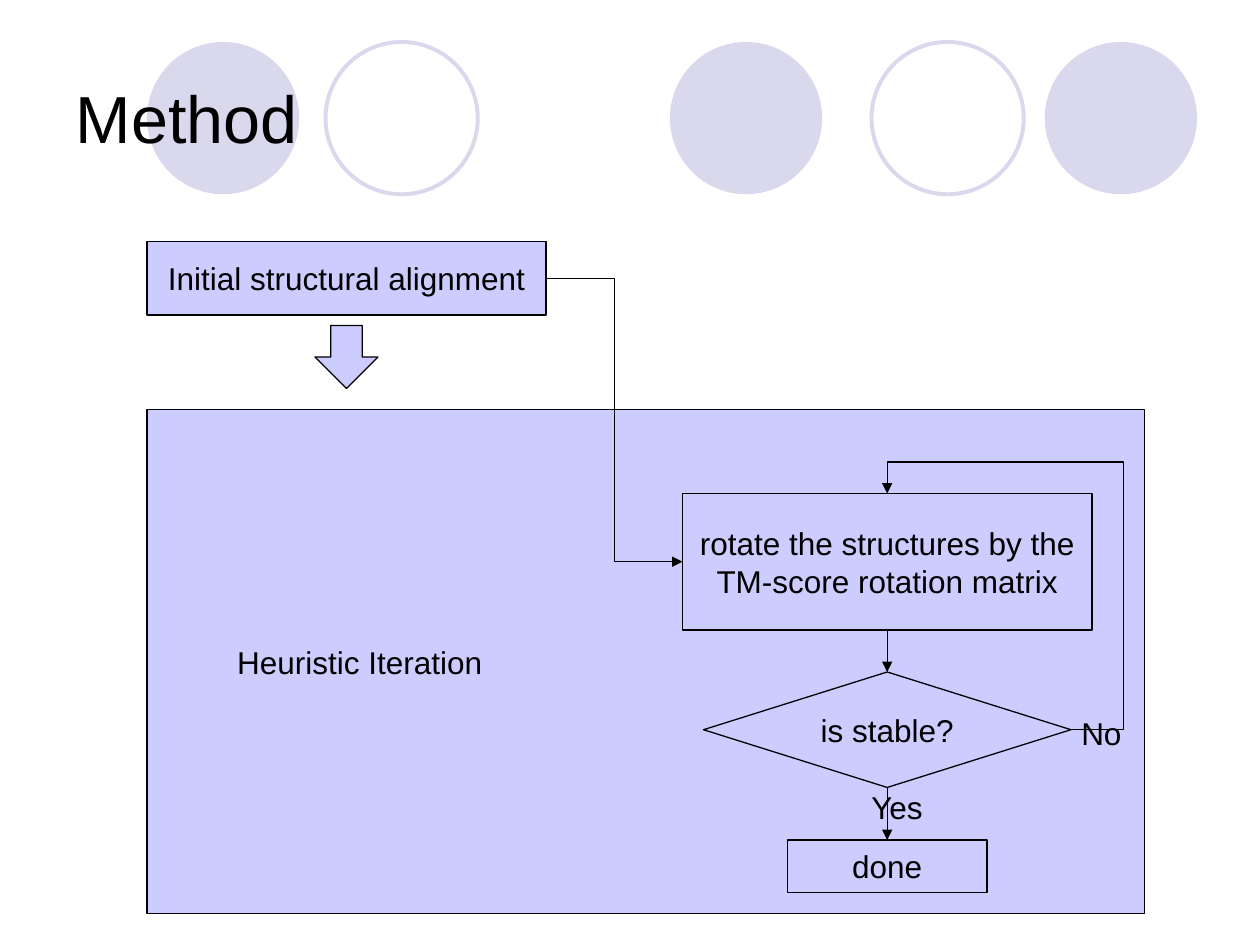
from lxml import etree
from pptx import Presentation
from pptx.dml.color import RGBColor
from pptx.enum.shapes import MSO_CONNECTOR, MSO_SHAPE
from pptx.enum.text import MSO_ANCHOR, PP_ALIGN
from pptx.oxml.ns import qn
from pptx.util import Emu, Pt

PX = 7620
BLACK = RGBColor(0x00, 0x00, 0x00)
LAVENDER = RGBColor(0xCC, 0xCC, 0xFF)
PALE = RGBColor(0xD9, 0xD8, 0xEC)
RECT, PROCESS, DIAMOND = MSO_SHAPE.RECTANGLE, MSO_SHAPE.FLOWCHART_PROCESS, MSO_SHAPE.DIAMOND
OVAL, DOWN_ARROW = MSO_SHAPE.OVAL, MSO_SHAPE.DOWN_ARROW
STRAIGHT, ELBOW = MSO_CONNECTOR.STRAIGHT, MSO_CONNECTOR.ELBOW
LEFT, CENTER = PP_ALIGN.LEFT, PP_ALIGN.CENTER
TOP, MIDDLE = MSO_ANCHOR.TOP, MSO_ANCHOR.MIDDLE
TOP_SIDE, LEFT_SIDE, BOTTOM_SIDE, RIGHT_SIDE = range(4)


def px(*lengths):
    """Turn px lengths into EMU."""
    return [Emu(length * PX) for length in lengths]


class FlowSlide:
    """Holds the style and the current slide."""

    font = {"name": "Arial", "size": Pt(18)}
    line_width = Pt(0.75)

    def __init__(self, slide):
        self.slide = slide
        self.shapes = slide.shapes

    def set_text(self, shape, lines, align=CENTER, frame_format=None, **font):
        """Put formatted lines of text in a shape."""
        frame = shape.text_frame
        frame_values = {"word_wrap": False, "vertical_anchor": MIDDLE, **(frame_format or {})}
        for name, value in frame_values.items():
            setattr(frame, name, value)
        frame.text = "\n".join(lines)
        for para in frame.paragraphs:
            para.alignment = align
            para.font.color.rgb = BLACK
            for name, value in {**self.font, **font}.items():
                setattr(para.font, name, value)

    def title(self, text, *place):
        """Place the title in front of what is already drawn."""
        title = self.shapes.title
        title.element.getparent().append(title.element)
        for name, value in zip(("left", "top", "width", "height"), px(*place)):
            setattr(title, name, value)
        self.set_text(title, [text], LEFT, {"word_wrap": True}, size=Pt(38))

    def shape(self, kind, *place, fill=LAVENDER, line=BLACK, width=line_width):
        """Draw a preset shape."""
        shape = self.shapes.add_shape(kind, *px(*place))
        shape.shadow.inherit = False
        if fill is None:
            shape.fill.background()
        else:
            shape.fill.solid()
            shape.fill.fore_color.rgb = fill
        if line is None:
            shape.line.fill.background()
        else:
            shape.line.color.rgb = line
            shape.line.width = width
        return shape

    def box(self, kind, lines, *place, align=CENTER, **frame_format):
        """Draw a flowchart box with text."""
        box = self.shape(kind, *place)
        self.set_text(box, lines, align, frame_format)
        return box

    def label(self, text, *place):
        """Add a free text label."""
        self.set_text(self.shapes.add_textbox(*px(*place)), [text], LEFT, {"vertical_anchor": TOP})

    def arrow(self, kind, source, source_side, target, target_side):
        """Join two boxes with an arrow."""
        arrow = self.shapes.add_connector(kind, 0, 0, 0, 0)
        arrow.begin_connect(source, source_side)
        arrow.end_connect(target, target_side)
        arrow.line.color.rgb = BLACK
        arrow.line.width = self.line_width
        properties = arrow.element.spPr
        etree.SubElement(properties.find(qn("a:ln")), qn("a:tailEnd"), type="triangle")
        etree.SubElement(properties, qn("a:effectLst"))
        return arrow

    def loop_arrow(self, source, target, right, above):
        """Lead an arrow from a right side out and back to a top side."""
        arrow = self.arrow(ELBOW, source, RIGHT_SIDE, target, TOP_SIDE)
        geometry = arrow.element.spPr.find(qn("a:prstGeom"))
        geometry.set("prst", "bentConnector4")
        guides = geometry.find(qn("a:avLst"))
        if guides is None:
            guides = etree.SubElement(geometry, qn("a:avLst"))
        ratios = (-right * PX / arrow.width, 1 + above * PX / arrow.height)
        for number, ratio in enumerate(ratios, 1):
            etree.SubElement(guides, qn("a:gd"), name=f"adj{number}",
                             fmla=f"val {round(ratio * 100000)}")


def main():
    """Build the method slide."""
    deck = Presentation()
    deck.slide_width, deck.slide_height = px(1200, 900)
    page = FlowSlide(deck.slides.add_slide(deck.slide_layouts[5]))

    for left in (140, 638, 995):
        page.shape(OVAL, left, 40, 145, 145, fill=PALE, line=None)
    for left in (310, 830):
        page.shape(OVAL, left, 40, 145, 145, fill=None, line=PALE, width=Pt(2.25))
    page.title("Method", 60, 36, 1080, 150)

    initial = page.box(RECT, ["Initial structural alignment"], 140, 230, 380, 70)
    page.box(PROCESS, ["Heuristic Iteration"], 140, 390, 950, 480,
             align=LEFT, word_wrap=True, margin_left=Emu(86 * PX))
    page.shape(DOWN_ARROW, 300, 310, 60, 60)
    rotate = page.box(RECT, ["rotate the structures by the", "TM-score rotation matrix"],
                      650, 470, 390, 130)
    stable = page.box(DIAMOND, ["is stable?"], 670, 640, 350, 110)
    done = page.box(RECT, ["done"], 750, 800, 190, 50)

    page.loop_arrow(stable, rotate, 50, 30)
    page.arrow(STRAIGHT, rotate, BOTTOM_SIDE, stable, TOP_SIDE)
    page.arrow(STRAIGHT, stable, BOTTOM_SIDE, done, TOP_SIDE)
    page.arrow(ELBOW, initial, RIGHT_SIDE, rotate, LEFT_SIDE)
    page.label("No", 1018, 674, 62, 48)
    page.label("Yes", 818, 745, 76, 48)

    deck.save("out.pptx")


if __name__ == "__main__":
    main()
